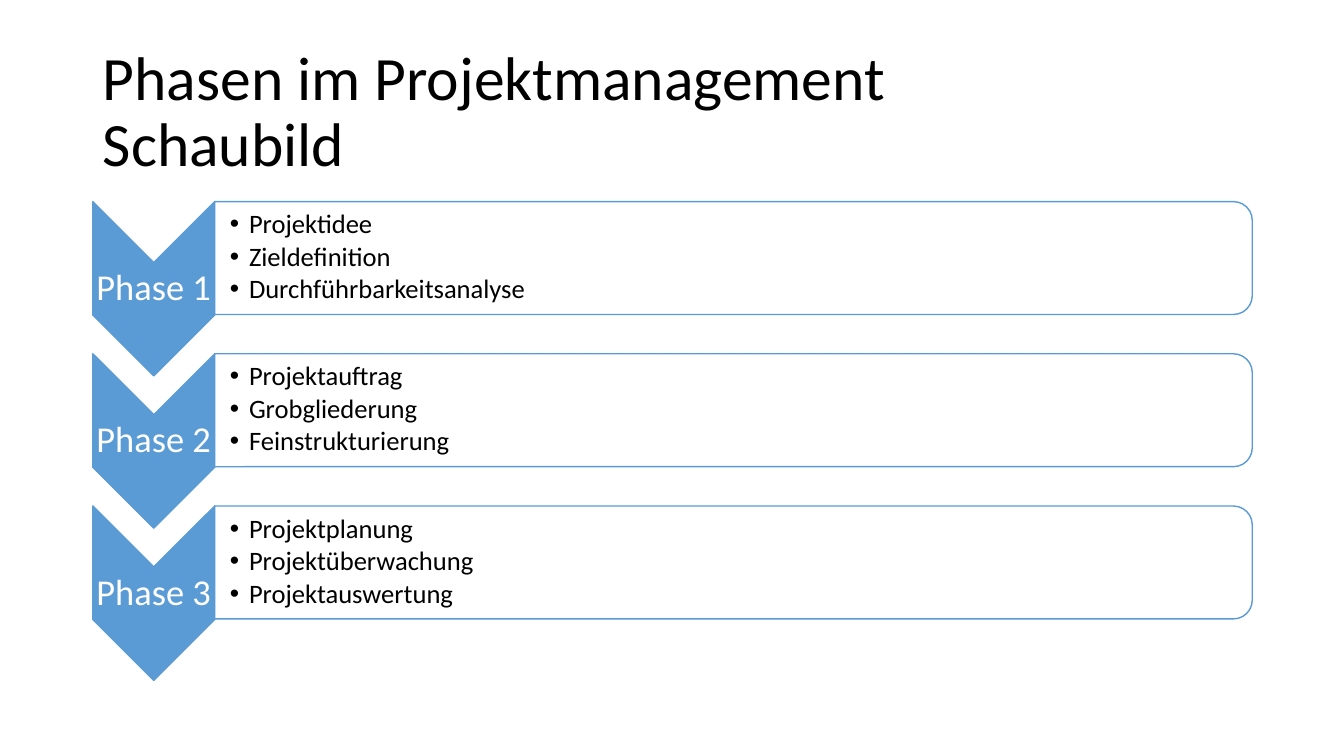
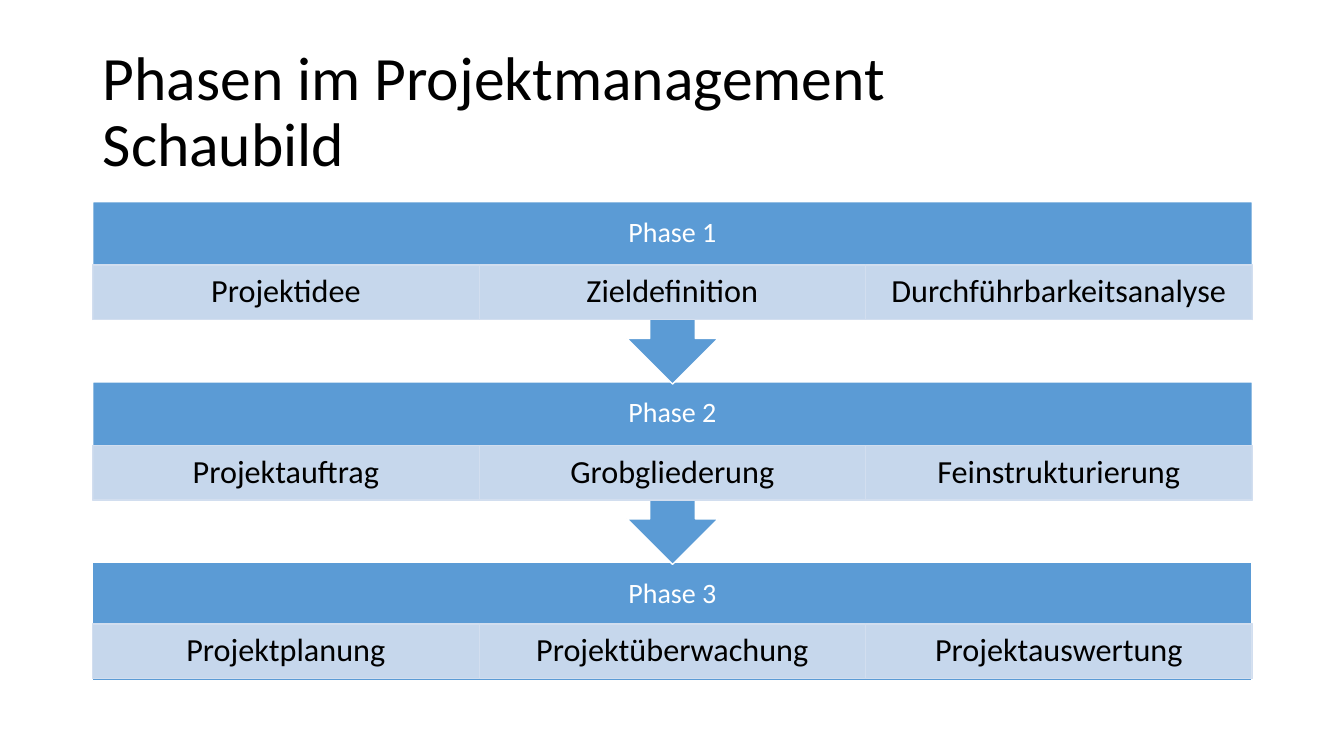
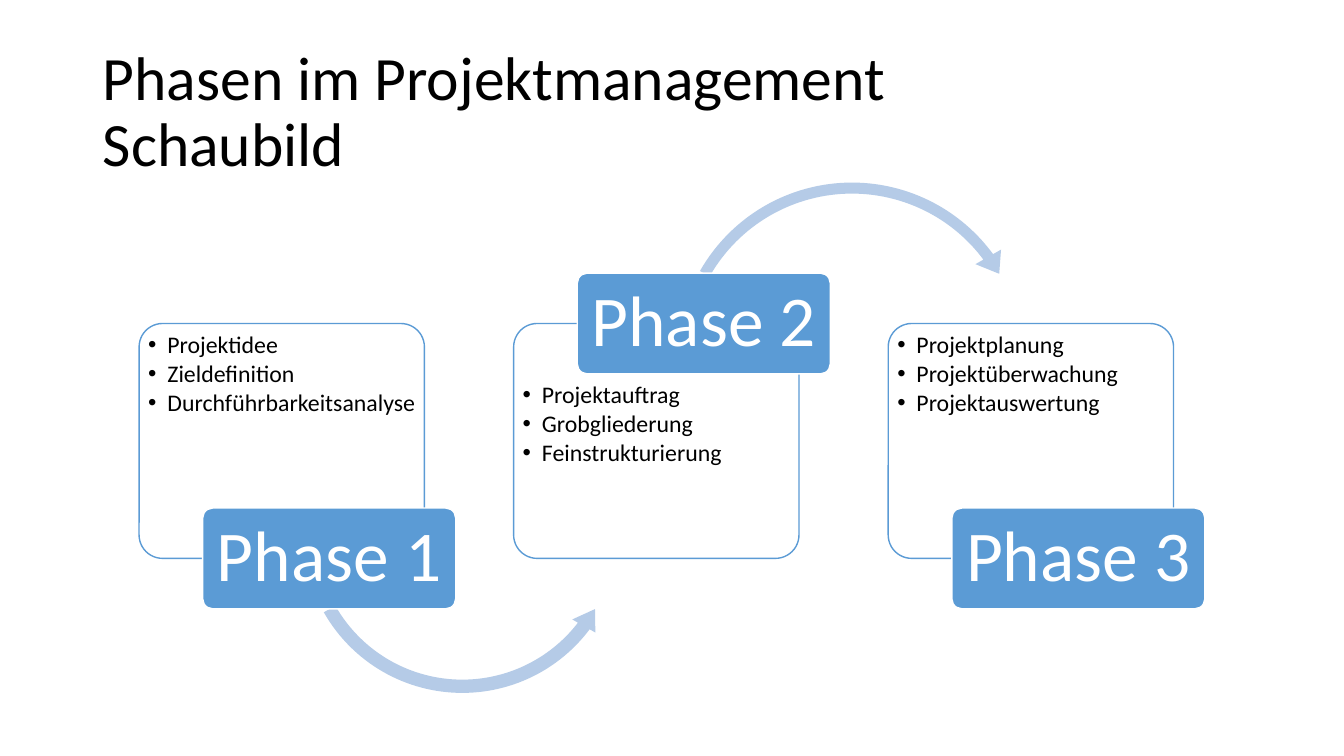
from dataclasses import dataclass

from lxml import etree
from pptx import Presentation
from pptx import util as u
from pptx.dml.color import RGBColor
from pptx.enum import shapes, text
from pptx.oxml.ns import qn

KIND = shapes.MSO_SHAPE
MID = text.MSO_ANCHOR.MIDDLE
TOP = text.MSO_ANCHOR.TOP
LEFT = text.PP_ALIGN.LEFT
CENTER = text.PP_ALIGN.CENTER


@dataclass(frozen=True)
class Theme:
    """Colours, font and type sizes of the deck."""
    blue: str = "5B9BD5"
    pale: str = "D2DEEF"
    arc: str = "B5CBE7"
    white: str = "FFFFFF"
    black: str = "000000"
    font: str = "Calibri"
    title: int = 44
    chevron: int = 26
    row: int = 19
    band: int = 20
    cell: int = 23
    card: int = 17
    tag: int = 51


T = Theme()
SIZE = (13.33, 7.5)
HEAD = (0.92, 0.4, 11.5, 1.45)
BODY = (0.92, 2, 11.5, 4.75)
TITLE = "Phasen im Projektmanagement\vSchaubild"
PHASES = {
    "Phase 1": ("Projektidee", "Zieldefinition", "Durchführbarkeitsanalyse"),
    "Phase 2": ("Projektauftrag", "Grobgliederung", "Feinstrukturierung"),
    "Phase 3": ("Projektplanung", "Projektüberwachung", "Projektauswertung"),
}


def put(part, **values):
    """Set each named attribute of a part."""
    for name, value in values.items():
        setattr(part, name, value)


def inches(box):
    """Turn a box of numbers into lengths."""
    return [u.Inches(side) for side in box]


def bullet(para):
    """Give a paragraph a hanging dot."""
    props = para._p.get_or_add_pPr()
    hang = u.Inches(0.19)
    props.set("marL", str(hang))
    props.set("indent", str(-hang))
    etree.SubElement(props, qn("a:buFont"), typeface="Arial")
    etree.SubElement(props, qn("a:buChar"), char="•")


def write(shape, lines, size, color, pad=(0.1, 0.05, 0.1, 0.05),
          anchor=MID, align=CENTER, dots=False):
    """Fill a shape's frame with formatted paragraphs."""
    frame = shape.text_frame
    left, top, right, bottom = inches(pad)
    put(frame, text="\n".join(lines), word_wrap=True,
        auto_size=text.MSO_AUTO_SIZE.NONE, vertical_anchor=anchor,
        margin_left=left, margin_top=top,
        margin_right=right, margin_bottom=bottom)
    for para in frame.paragraphs:
        if dots:
            bullet(para)
        put(para, alignment=align, line_spacing=0.9,
            space_after=u.Pt(round(size * 0.14, 1) if dots else 0))
        put(para.font, name=T.font, size=u.Pt(size))
        para.font.color.rgb = RGBColor.from_string(color)


def label(slide, box, lines, size, color, **style):
    """Add a text box."""
    write(slide.shapes.add_textbox(*inches(box)), lines, size, color, **style)


def draw(slide, kind, box, fill, line=None, turn=0, adjust=(), alpha=None):
    """Add a preset shape that covers the box after its turn."""
    x, y, w, h = box
    if turn == 90:
        x, y, w, h = x + (w - h) / 2, y + (h - w) / 2, h, w
    shape = slide.shapes.add_shape(kind, *inches((x, y, w, h)))
    shape.rotation = turn
    shape.shadow.inherit = False
    shape.fill.solid()
    shape.fill.fore_color.rgb = RGBColor.from_string(fill)
    if alpha:
        tint = shape._element.spPr.find(qn("a:solidFill"))[0]
        etree.SubElement(tint, qn("a:alpha"), val=str(alpha * 1000))
    if line:
        shape.line.width = u.Pt(1)
        shape.line.color.rgb = RGBColor.from_string(line)
    else:
        shape.line.fill.background()
    for i, value in enumerate(adjust):
        shape.adjustments[i] = value
    return shape


def start(deck):
    """Add a slide with the shared title."""
    slide = deck.slides.add_slide(deck.slide_layouts[5])
    title = slide.shapes.title
    left, top, width, height = inches(HEAD)
    put(title, left=left, top=top, width=width, height=height)
    write(title, [TITLE], T.title, T.black, align=LEFT)
    return slide


def row(slide, box, name, items):
    """Place a chevron with its list panel."""
    x, y, w, h = box
    wide, tall = 1.21, 1.12
    draw(slide, KIND.CHEVRON, (x, y, wide, h), T.blue, T.blue, turn=90)
    label(slide, (x, y + wide / 2, wide, h - wide), [name], T.chevron,
          T.white, pad=[0.02] * 4)
    draw(slide, KIND.ROUND_2_SAME_RECTANGLE, (x + wide, y, w - wide, tall),
         T.white, T.blue, turn=90, alpha=90)
    label(slide, (x + wide, y + 0.05, w - wide - 0.05, tall - 0.11), items,
          T.row, T.black, pad=(0.15, 0.01, 0.01, 0.01), align=LEFT, dots=True)


def rows(slide, box):
    """Stack the chevron rows."""
    x, y, w, h = box
    tall = 1.73
    step = (h - tall) / (len(PHASES) - 1)
    for i, (name, items) in enumerate(PHASES.items()):
        row(slide, (x, y + i * step, w, tall), name, items)


def band(slide, box, name, items, last):
    """Place a headed band with one cell per item."""
    x, y, w, h = box
    kind = KIND.RECTANGLE if last else KIND.UP_ARROW_CALLOUT
    draw(slide, kind, box, T.blue, T.white, turn=0 if last else 180)
    label(slide, (x, y, w, 0.63), [name], T.band, T.white, pad=[0.16] * 4)
    wide = w / len(items)
    top = y + (0.61 if last else 0.63)
    for i, item in enumerate(items):
        cell = draw(slide, KIND.RECTANGLE, (x + i * wide, top, wide, 0.54),
                    T.pale, T.pale, alpha=90)
        write(cell, [item], T.cell, T.black, pad=(0.18, 0.03, 0.18, 0.03))


def bands(slide, box):
    """Stack the bands from the bottom up."""
    x, y, w, h = box
    foot = 1.17
    end = len(PHASES) - 1
    step = (h - foot) / end
    for i, (name, items) in reversed(list(enumerate(PHASES.items()))):
        last = i == end
        tall = foot if last else step + 0.02
        band(slide, (x, y + i * step, w, tall), name, items, last)


def card(slide, box, name, items, high, arc):
    """Place a list card, its arc and its name tag."""
    x, y, w, h = box
    draw(slide, KIND.ROUNDED_RECTANGLE, box, T.white, T.blue,
         adjust=[0.1], alpha=90)
    drop = 0.55 if high else 0.05
    label(slide, (x + 0.05, y + drop, w - 0.1, 1.72), items, T.card, T.black,
          pad=(0.04, 0.04, 0, 0.04), anchor=TOP, align=LEFT, dots=True)
    if arc:
        kind, dx, dy, side, adjust = arc
        draw(slide, kind, (x + dx, y + dy, side, side), T.arc, adjust=adjust)
    edge = y if high else y + h
    tag = draw(slide, KIND.ROUNDED_RECTANGLE, (x + 0.63, edge - 0.5, 2.51, 1),
               T.blue, T.white, adjust=[0.1])
    write(tag, [name], T.tag, T.white, pad=(0.05, 0.07, 0.05, 0.07))


def cards(slide, box):
    """Set the cards side by side, linked by arcs."""
    x, y, w, h = box
    arcs = (
        (KIND.LEFT_CIRCULAR_ARROW, 1.56, 0.44, 3.29,
         (0.04, 4.57, 22.33, 90.25, 0.04)),
        (KIND.CIRCULAR_ARROW, 1.53, -1.49, 3.65,
         (0.03, 4.09, 194.16, 125.76, 0.04)),
        None,
    )
    wide = 2.83
    step = (w - wide) / (len(PHASES) - 1)
    for i, (name, items) in enumerate(PHASES.items()):
        card(slide, (x + i * step, y, wide, h), name, items, i % 2 == 1,
             arcs[i])


def main():
    """Build and save the deck."""
    deck = Presentation()
    wide, tall = inches(SIZE)
    put(deck, slide_width=wide, slide_height=tall)
    rows(start(deck), BODY)
    bands(start(deck), BODY)
    cards(start(deck), (1.38, 3.21, 10.26, 2.33))
    deck.save("out.pptx")


if __name__ == "__main__":
    main()
